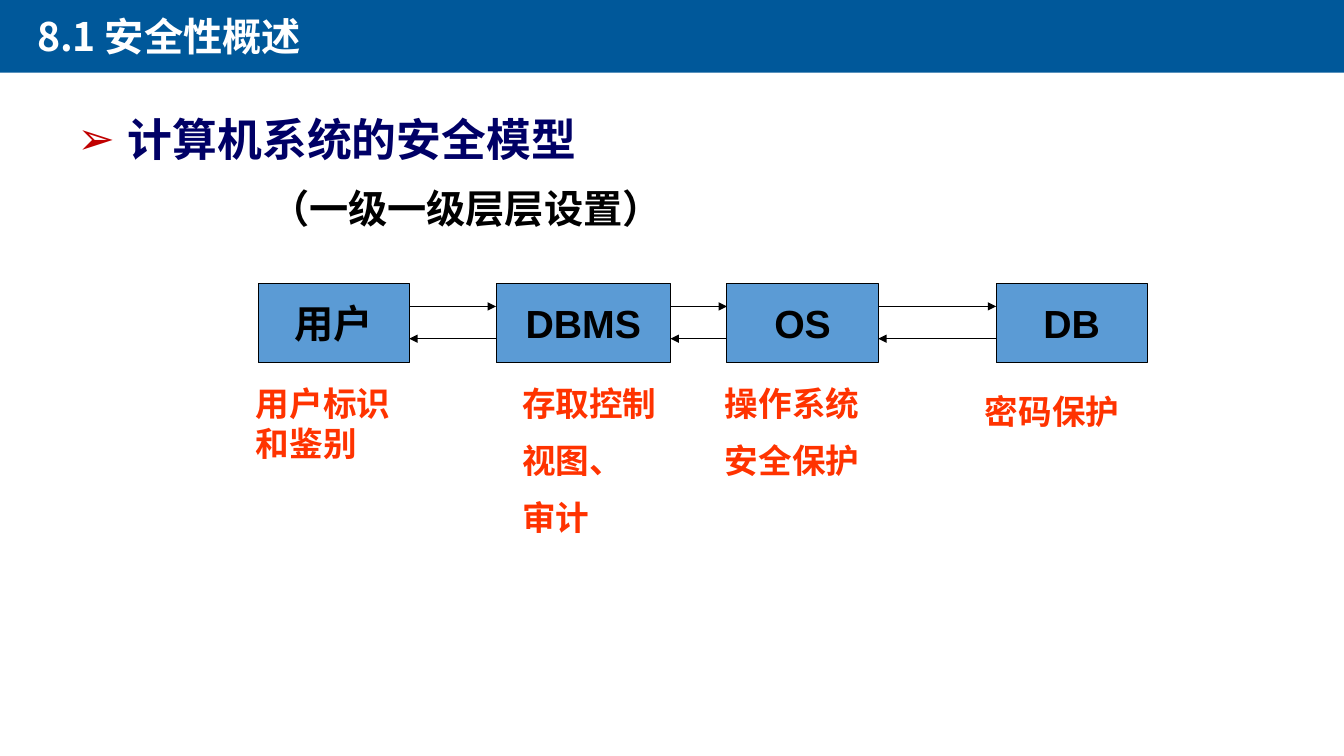
"""Build the slide on the layered security model of a computer system."""
import itertools

import pptx
import pptx.dml.color
import pptx.enum.shapes
import pptx.enum.text
import pptx.oxml
import pptx.oxml.ns
import pptx.util
from pptx.util import Inches

RGBColor = pptx.dml.color.RGBColor
WHITE = RGBColor(0xFF, 0xFF, 0xFF)
BLACK = RGBColor(0x00, 0x00, 0x00)
BANNER = RGBColor(0x00, 0x58, 0x9A)
BOX = RGBColor(0x5B, 0x9B, 0xD5)
NAVY = RGBColor(0x00, 0x00, 0x66)
ORANGE = RGBColor(0xFF, 0x33, 0x00)
BULLET = RGBColor(0xC0, 0x00, 0x00)
ALIGN = pptx.enum.text.PP_ALIGN


class Deck:
    def __init__(self):
        self.prs = pptx.Presentation()
        self.prs.slide_width = Inches(13.33)
        self.prs.slide_height = Inches(7.5)
        self.s = self.prs.slides.add_slide(self.prs.slide_layouts[6])
        self.font = "Arial"
        self.line_width = pptx.util.Pt(0.75)

    def add_text_run(self, p, text, size, color, font=None):
        r = p.add_run()
        r.text = text
        r.font.name = font or self.font
        r.font.size = pptx.util.Pt(size)
        r.font.bold = True
        r.font.color.rgb = color

    def rect(self, left, top, width, height, fill, line=None):
        sp = self.s.shapes.add_shape(
            pptx.enum.shapes.MSO_SHAPE.RECTANGLE,
            Inches(left), Inches(top), Inches(width), Inches(height))
        sp.shadow.inherit = False
        sp.fill.solid()
        sp.fill.fore_color.rgb = fill
        if line is None:
            sp.line.fill.background()
        else:
            sp.line.color.rgb = line
            sp.line.width = self.line_width
        return sp

    def box(self, left, top, width, height, label):
        tf = self.rect(left, top, width, height, BOX, BLACK).text_frame
        tf.word_wrap = False
        tf.vertical_anchor = pptx.enum.text.MSO_ANCHOR.MIDDLE
        p = tf.paragraphs[0]
        p.alignment = ALIGN.CENTER
        self.add_text_run(p, label, 28, BLACK)

    def text(self, left, top, width, height, lines, size, color, font=None):
        tf = self.s.shapes.add_textbox(
            Inches(left), Inches(top), Inches(width), Inches(height)).text_frame
        tf.word_wrap = True
        for i, line in enumerate(lines):
            p = tf.add_paragraph() if i else tf.paragraphs[0]
            if i:
                p.space_before = pptx.util.Pt(size / 2)
            self.add_text_run(p, line, size, color, font)
        return tf

    def heading(self, left, top, width, height, text):
        p = self.text(left, top, width, height, [text], 32, NAVY, "Cabin").paragraphs[0]
        p.alignment = ALIGN.JUSTIFY
        p.line_spacing = 0.9
        pPr = p._p.get_or_add_pPr()
        pPr.set("marL", str(Inches(0.5)))
        pPr.set("indent", str(-Inches(0.5)))
        ns = pptx.oxml.ns.nsdecls("a")
        for xml in (f'<a:buClr {ns}><a:srgbClr val="{BULLET}"/></a:buClr>',
                    f'<a:buFont {ns} typeface="Arial"/>',
                    f'<a:buChar {ns} char="➢"/>'):
            pPr.append(pptx.oxml.parse_xml(xml))

    def arrow(self, x1, x2, y):
        c = self.s.shapes.add_connector(
            pptx.enum.shapes.MSO_CONNECTOR.STRAIGHT,
            Inches(x1), Inches(y), Inches(x2), Inches(y))
        c.line.color.rgb = BLACK
        c.line.width = self.line_width
        ns = pptx.oxml.ns.nsdecls("a")
        spPr = c._element.spPr
        spPr.find(pptx.oxml.ns.qn("a:ln")).append(
            pptx.oxml.parse_xml(f'<a:tailEnd {ns} type="triangle"/>'))
        spPr.append(pptx.oxml.parse_xml(f'<a:effectLst {ns}/>'))


def main():
    deck = Deck()
    deck.rect(0, -0.02, 13.33, 0.74, BANNER)
    deck.text(0.27, 0.07, 5.53, 0.57, ["8.1 安全性概述"], 28, WHITE, "Noto Sans CJK SC")
    deck.heading(0.67, 1.12, 8.5, 0.58, "计算机系统的安全模型")
    deck.text(2.58, 1.78, 8.92, 0.57, ["（一级一级层层设置）"], 28, BLACK)

    layers = [(2.56, 1.5, "用户"), (4.92, 1.73, "DBMS"), (7.21, 1.5, "OS"), (9.88, 1.5, "DB")]
    for left, width, label in layers:
        deck.box(left, 2.81, width, 0.79, label)
    for (left, width, _), (following, _, _) in itertools.pairwise(layers):
        deck.arrow(left + width, following, 3.04)
        deck.arrow(following, left + width, 3.36)

    measures = [
        (2.44, 3.75, 1.73, 1.5, ["用户标识和鉴别"]),
        (5.08, 3.75, 1.65, 1.7, ["存取控制", "视图、", "审计"]),
        (7.09, 3.75, 1.65, 1.1, ["操作系统", "安全保护"]),
        (9.67, 3.83, 1.83, 0.5, ["密码保护"]),
    ]
    for left, top, width, height, lines in measures:
        deck.text(left, top, width, height, lines, 24, ORANGE)

    deck.prs.save("out.pptx")


if __name__ == "__main__":
    main()
